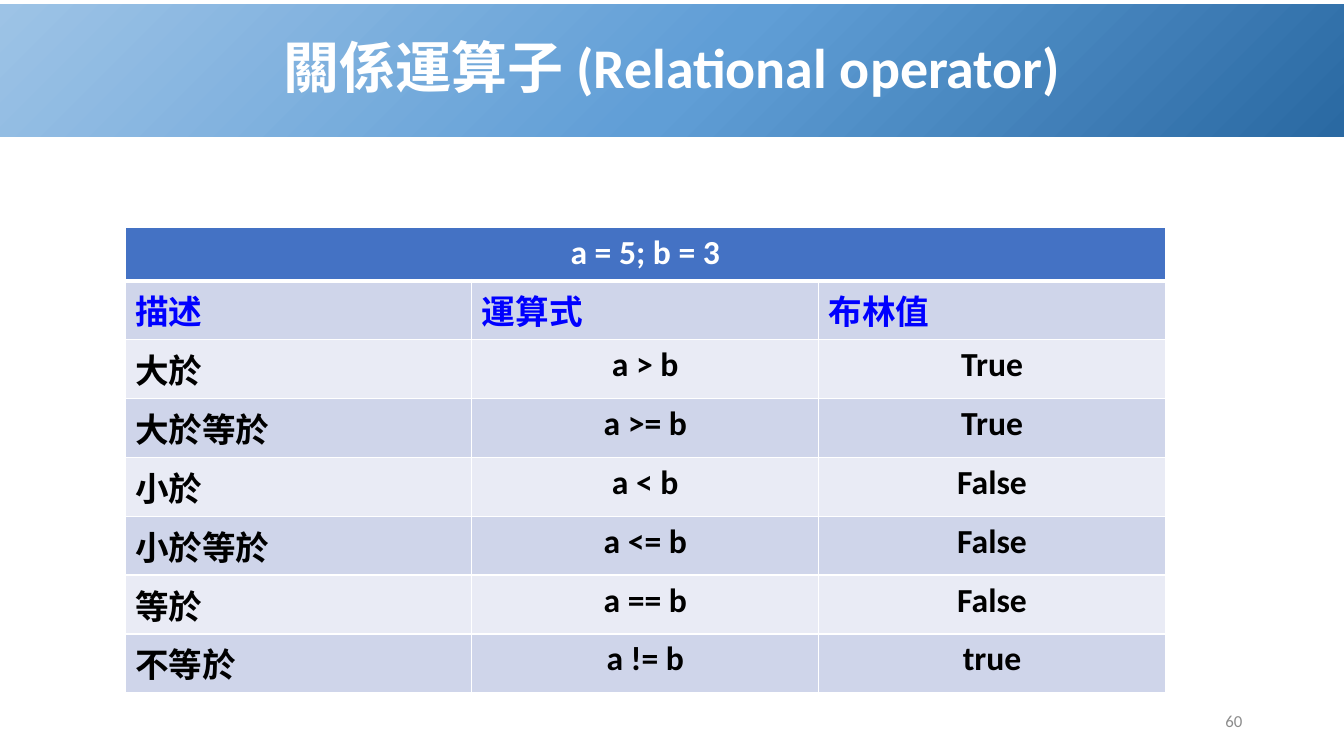
from dataclasses import dataclass

from pptx import Presentation, util as u
from pptx.dml.color import RGBColor
from pptx.enum import text
from pptx.oxml import parse_xml
from pptx.oxml.ns import nsdecls


@dataclass(frozen=True)
class Theme:
    """Colours, type sizes and font of the slide."""
    font: str = "Calibri"
    white: str = "FFFFFF"
    black: str = "000000"
    label: str = "0000FF"
    muted: str = "8C8C8C"
    header: str = "4472C4"
    bands: tuple = ("E9EBF5", "CFD5EA")
    gradient: tuple = ((0, "2A69A2"), (48, "609ED6"), (100, "9DC3E6"))
    title_size: int = 40
    table_size: int = 24
    number_size: int = 12


THEME = Theme()
WIDTH, HEIGHT = u.Inches(13.33), u.Inches(7.5)
ALIGN = text.PP_ALIGN
CAPTION = "a = 5; b = 3"
HEADINGS = ("描述", "運算式", "布林值")
OPERATORS = (
    ("大於", "a > b", "True"),
    ("大於等於", "a >= b", "True"),
    ("小於", "a < b", "False"),
    ("小於等於", "a <= b", "False"),
    ("等於", "a == b", "False"),
    ("不等於", "a != b", "true"),
)


def write(frame, words, size, colour, align, bold=True):
    """Put one formatted paragraph in a text frame."""
    frame.text = words
    para = frame.paragraphs[0]
    para.alignment = align
    font = para.font
    font.name, font.size, font.bold = THEME.font, u.Pt(size), bold
    font.color.rgb = RGBColor.from_string(colour)
    return para


def add_title(page, words):
    """Format the title placeholder as a gradient banner."""
    box = page.shapes.title
    box.left, box.top, box.width, box.height = 0, u.Inches(0.04), WIDTH, u.Inches(1.31)
    stops = "".join(
        f'<a:gs pos="{place * 1000}"><a:srgbClr val="{colour}"/></a:gs>'
        for place, colour in THEME.gradient)
    box._element.spPr.append(parse_xml(
        f'<a:gradFill {nsdecls("a")} rotWithShape="1"><a:gsLst>{stops}</a:gsLst>'
        '<a:path path="circle"><a:fillToRect l="100000" t="100000"/></a:path>'
        '</a:gradFill>'))
    frame = box.text_frame
    frame.auto_size = text.MSO_AUTO_SIZE.NONE
    frame.vertical_anchor = text.MSO_ANCHOR.MIDDLE
    para = write(frame, words, THEME.title_size, THEME.white, ALIGN.CENTER)
    para.line_spacing = 0.9


def fill_cell(cell, words, fill, colour, align, bottom=1):
    """Write, border and fill one table cell."""
    write(cell.text_frame, words, THEME.table_size, colour, align)
    properties = cell._tc.get_or_add_tcPr()
    for side, points in (("L", 1), ("R", 1), ("T", 1), ("B", bottom)):
        properties.append(parse_xml(
            f'<a:ln{side} {nsdecls("a")} w="{u.Pt(points)}"><a:solidFill>'
            f'<a:srgbClr val="{THEME.white}"/></a:solidFill></a:ln{side}>'))
    cell.fill.solid()
    cell.fill.fore_color.rgb = RGBColor.from_string(fill)


def add_operator_table(page):
    """Add the captioned table with banded rows."""
    rows, columns = len(OPERATORS) + 2, len(HEADINGS)
    table = page.shapes.add_table(
        rows, columns, u.Inches(1.24), u.Inches(2.26),
        u.Inches(10.32), u.Inches(4.21)).table
    table.cell(0, 0).merge(table.cell(0, columns - 1))
    for column in range(columns):
        fill_cell(table.cell(0, column), "" if column else CAPTION,
                  THEME.header, THEME.white, ALIGN.CENTER, bottom=3)
    for row, values in enumerate((HEADINGS, *OPERATORS), 1):
        for column, words in enumerate(values):
            if row == 1:
                colour, align = THEME.label, ALIGN.JUSTIFY
            else:
                colour, align = THEME.black, ALIGN.CENTER if column else ALIGN.LEFT
            fill_cell(table.cell(row, column), words, THEME.bands[row % 2], colour, align)


def add_page_number(page, number):
    """Add the page number at the lower right."""
    box = page.shapes.add_textbox(
        u.Inches(9.42), u.Inches(6.95), u.Inches(3), u.Inches(0.4))
    frame = box.text_frame
    frame.word_wrap = True
    frame.vertical_anchor = text.MSO_ANCHOR.MIDDLE
    write(frame, number, THEME.number_size, THEME.muted, ALIGN.RIGHT, bold=False)


def main():
    """Build and save the slide."""
    deck = Presentation()
    deck.slide_width, deck.slide_height = WIDTH, HEIGHT
    page = deck.slides.add_slide(deck.slide_layouts.get_by_name("Title Only"))
    add_title(page, "關係運算子 (Relational operator)")
    add_operator_table(page)
    add_page_number(page, "60")
    deck.save("out.pptx")


if __name__ == "__main__":
    main()
